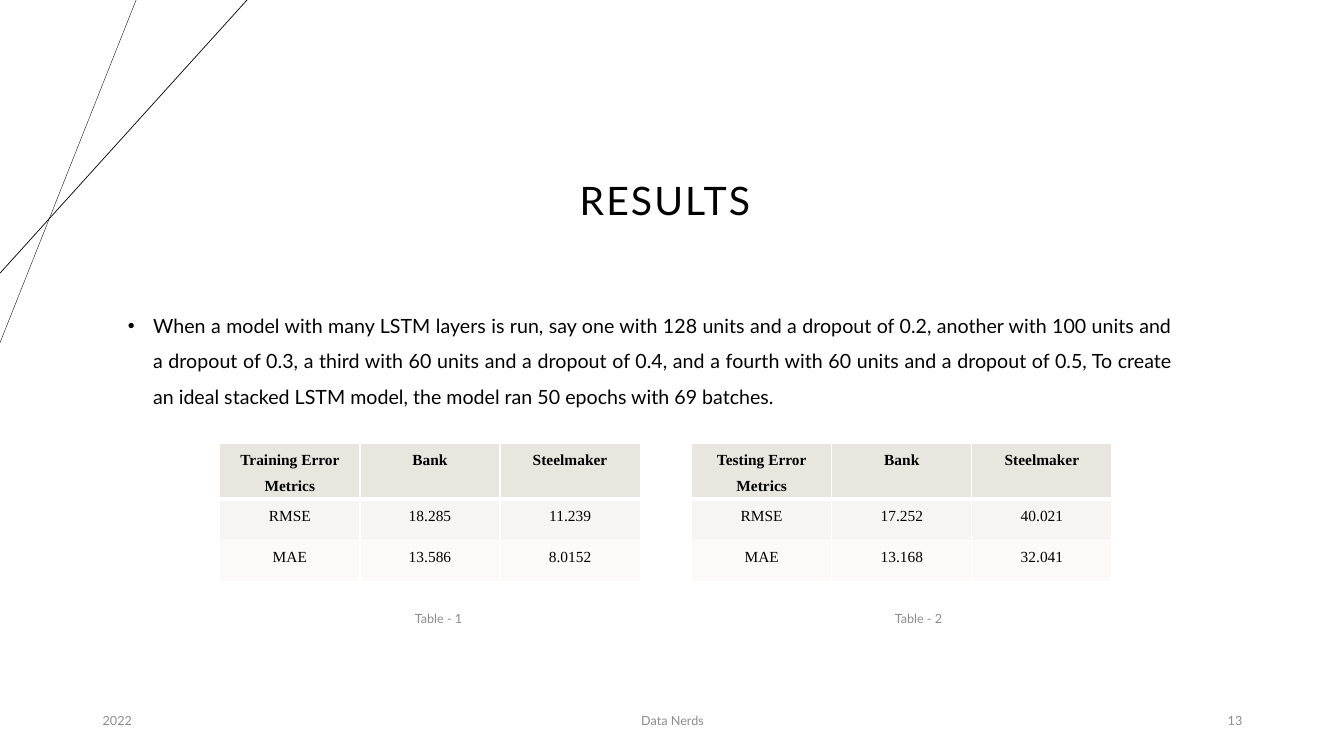
import lxml.etree
import pptx
import pptx.dml.color
import pptx.enum.shapes
import pptx.enum.text
import pptx.oxml.ns
import pptx.util

Inches, Pt = pptx.util.Inches, pptx.util.Pt
ALIGN = pptx.enum.text.PP_ALIGN
ANCHOR = pptx.enum.text.MSO_ANCHOR
qn = pptx.oxml.ns.qn

BLACK, GREY, WHITE = "000000", "8C8C8C", "FFFFFF"
ROW_FILLS = ["E9E6DF", "F7F5F3", "FBFAF9"]
SMALL = {"size": 9, "color": GREY}

BODY = (
    "When a model with many LSTM layers is run, say one with 128 units and a dropout of 0.2, "
    "another with 100 units and a dropout of 0.3, a third with 60 units and a dropout of 0.4, "
    "and a fourth with 60 units and a dropout of 0.5, To create an ideal stacked LSTM model, "
    "the model ran 50 epochs with 69 batches."
)
COMPANIES = ["Bank", "Steelmaker"]
TRAINING = [
    ["Training Error Metrics", *COMPANIES],
    ["RMSE", "18.285", "11.239"],
    ["MAE", "13.586", "8.0152"],
]
TESTING = [
    ["Testing Error Metrics", *COMPANIES],
    ["RMSE", "17.252", "40.021"],
    ["MAE", "13.168", "32.041"],
]


def rgb(value):
    return pptx.dml.color.RGBColor.from_string(value)


def set_attrs(obj, values):
    for name, value in values.items():
        setattr(obj, name, value)


def write(tf, text, size, color=BLACK, font="Lato", bold=False, **para):
    """Put one run in the first paragraph and format both."""
    p = tf.paragraphs[0]
    set_attrs(p, para)
    r = p.add_run()
    r.text = text
    set_attrs(r.font, {"size": Pt(size), "name": font, "bold": bold})
    r.font.color.rgb = rgb(color)
    return p


def add_text(s, box, text, anchor=ANCHOR.MIDDLE, **fmt):
    tf = s.shapes.add_textbox(*map(Inches, box)).text_frame
    set_attrs(tf, {"word_wrap": True, "vertical_anchor": anchor})
    return write(tf, text, **fmt)


def add_bullet(p, left, hanging):
    pPr = p._p.get_or_add_pPr()
    pPr.set("marL", str(Inches(left)))
    pPr.set("indent", str(-Inches(hanging)))
    font = lxml.etree.SubElement(pPr, qn("a:buFont"))
    font.set("typeface", "Arial")
    lxml.etree.SubElement(pPr, qn("a:buChar")).set("char", "•")


def add_line(s, x, y, width):
    """Draw a diagonal from the top edge to the left edge."""
    cx = s.shapes.add_connector(
        pptx.enum.shapes.MSO_CONNECTOR.STRAIGHT, Inches(x), 0, 0, Inches(y))
    cx.line.width = Pt(width)
    cx.line.color.rgb = rgb(BLACK)
    lxml.etree.SubElement(cx._element.spPr, qn("a:effectLst"))


def add_borders(cell, widths):
    tcPr = cell._tc.get_or_add_tcPr()
    for side, width in widths.items():
        ln = lxml.etree.SubElement(tcPr, qn("a:ln" + side))
        ln.set("w", str(Pt(width)))
        fill = lxml.etree.SubElement(ln, qn("a:solidFill"))
        lxml.etree.SubElement(fill, qn("a:srgbClr")).set("val", WHITE)


def add_metrics_table(s, left, rows):
    col_width, row_height = Inches(1.39), Inches(0.41)
    n_rows, n_cols = len(rows), len(rows[0])
    table = s.shapes.add_table(
        n_rows, n_cols, Inches(left), Inches(4.4),
        col_width * n_cols, row_height * n_rows).table
    margins = {"margin_left": Inches(0.07), "margin_right": Inches(0.07),
               "margin_top": 0, "margin_bottom": 0}
    for i, row in enumerate(rows):
        for j, text in enumerate(row):
            cell = table.cell(i, j)
            set_attrs(cell, margins)
            # The rule under the header is thicker
            add_borders(cell, {"L": 1, "R": 1, "T": 3 if i == 1 else 1,
                               "B": 3 if i == 0 else 1})
            cell.fill.solid()
            cell.fill.fore_color.rgb = rgb(ROW_FILLS[i])
            write(cell.text_frame, text, 11, font="Times New Roman", bold=i == 0,
                  alignment=ALIGN.CENTER, line_spacing=1.5, space_after=Pt(8))


def main():
    prs = pptx.Presentation()
    prs.slide_width, prs.slide_height = Inches(13.33), Inches(7.5)
    s = prs.slides.add_slide(prs.slide_layouts[6])

    # Corner lines
    add_line(s, 1.35, 3.4, 0.25)
    add_line(s, 2.45, 2.71, 0.5)

    # Title
    p = add_text(s, (1.99, 1.29, 9.21, 1.45), "RESULTS", size=28,
                 alignment=ALIGN.CENTER, line_spacing=0.9)
    p.runs[0].font._element.set("spc", "150")

    # Body
    p = add_text(s, (1.12, 2.95, 10.61, 1.24), BODY, ANCHOR.TOP, size=14,
                 alignment=ALIGN.JUSTIFY, line_spacing=1.5,
                 space_before=Pt(10), space_after=Pt(8))
    add_bullet(p, 0.3, 0.25)

    # Tables and captions
    for left, rows, caption_left, caption in [
        (2.18, TRAINING, 2.1, "Table - 1"),
        (6.86, TESTING, 6.86, "Table - 2"),
    ]:
        add_metrics_table(s, left, rows)
        add_text(s, (caption_left, 5.94, 4.5, 0.4), caption,
                 alignment=ALIGN.CENTER, **SMALL)

    # Footer
    for left, width, text, align in [
        (0.92, 3, "2022", ALIGN.LEFT),
        (4.42, 4.5, "Data Nerds", ALIGN.CENTER),
        (9.42, 3, "13", ALIGN.RIGHT),
    ]:
        add_text(s, (left, 6.95, width, 0.4), text, alignment=align, **SMALL)

    prs.save("out.pptx")


if __name__ == "__main__":
    main()
